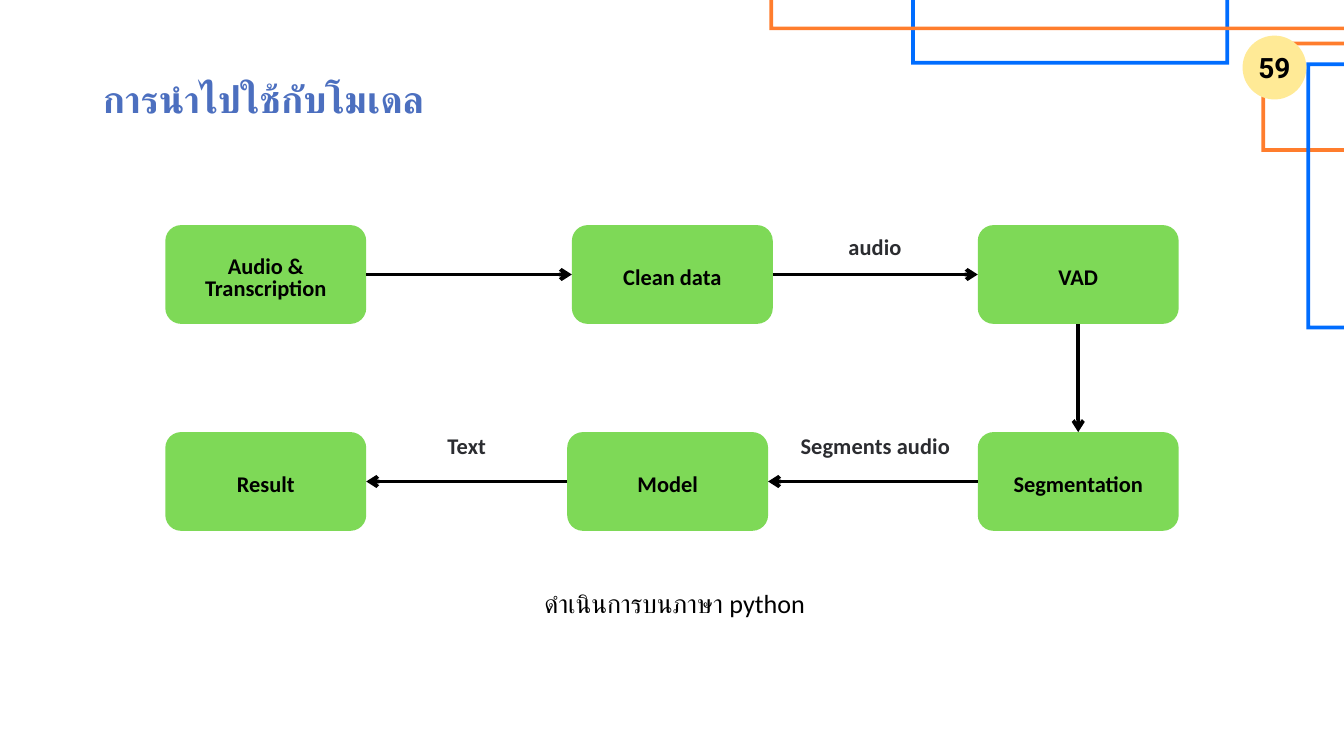
import pptx
import pptx.dml.color
import pptx.enum.shapes
import pptx.enum.text
import pptx.oxml.ns
import pptx.util
from dataclasses import dataclass
from lxml import etree

Inches = pptx.util.Inches
Pt = pptx.util.Pt
Shape = pptx.enum.shapes.MSO_SHAPE
Anchor = pptx.enum.text.MSO_ANCHOR
qn = pptx.oxml.ns.qn

BLUE, ORANGE = "006DFF", "FF7D2D"
GREEN, YELLOW = "7ED957", "FFEA96"
BLACK, GREY, TITLE = "000000", "2B2C30", "4C6FBF"
BOX_W, BOX_H = 2.99, 1.47
ROW_1, ROW_2 = 3.35, 6.43
TOP, LEFT, BOTTOM, RIGHT = range(4)  # connection sites of a box


@dataclass
class Style:
    size: float
    lead: float
    color: str = BLACK
    bold: bool = True
    font: str = "Calibri"
    track: float = 0


@dataclass
class Frame:
    x: float
    y: float
    w: float
    h: float
    color: str


@dataclass
class Step:
    x: float
    y: float
    text: str


@dataclass
class Arrow:
    start: str
    out: int
    end: str
    into: int


@dataclass
class Label:
    x: float
    y: float
    w: float
    h: float
    text: str
    style: Style


HEAD = Style(40, 52, TITLE, track=0.2)
STEP = Style(24, 24.5)
FLOW = Style(24, 31.2, GREY, track=0.1)
NOTE = Style(28, 39.2, bold=False)
PAGE = Style(30, 42, font="Roboto")

FRAMES = [
    Frame(13.56, -0.38, 4.73, 1.34, BLUE),
    Frame(11.45, -0.37, 8.73, 0.82, ORANGE),
    Frame(18.77, 0.62, 1.58, 1.64, ORANGE),
    Frame(19.44, 0.93, 0.91, 3.97, BLUE),
]
STEPS = [
    Step(2.46, ROW_1, "Audio &\nTranscription"),
    Step(8.51, ROW_1, "Clean data"),
    Step(14.55, ROW_1, "VAD"),
    Step(14.55, ROW_2, "Segmentation"),
    Step(8.44, ROW_2, "Model"),
    Step(2.46, ROW_2, "Result"),
]
ARROWS = [
    Arrow("Audio &\nTranscription", RIGHT, "Clean data", LEFT),
    Arrow("Clean data", RIGHT, "VAD", LEFT),
    Arrow("VAD", BOTTOM, "Segmentation", TOP),
    Arrow("Segmentation", LEFT, "Model", RIGHT),
    Arrow("Model", LEFT, "Result", RIGHT),
]
LABELS = [
    Label(12.36, 3.43, 1.32, 0.42, "audio", FLOW),
    Label(11.62, 6.4, 2.81, 0.42, "Segments audio", FLOW),
    Label(5.54, 6.4, 2.81, 0.42, "Text", FLOW),
    Label(2.54, 8.67, 15, 0.54, "ดำเนินการบนภาษา python", NOTE),
]


def rgb(code: str) -> pptx.dml.color.RGBColor:
    return pptx.dml.color.RGBColor.from_string(code)


def write(shape, text: str, style: Style, anchor=Anchor.TOP,
          pad: tuple = (0, 0, 0, 0)) -> None:
    """Fill a shape with centred text; pad is left, top, right, bottom."""
    frame = shape.text_frame
    frame.word_wrap = True
    frame.auto_size = pptx.enum.text.MSO_AUTO_SIZE.NONE
    frame.vertical_anchor = anchor
    frame.margin_left, frame.margin_top, frame.margin_right, frame.margin_bottom = (
        Inches(side) for side in pad)
    for i, line in enumerate(text.split("\n")):
        para = frame.add_paragraph() if i else frame.paragraphs[0]
        para.alignment = pptx.enum.text.PP_ALIGN.CENTER
        para.line_spacing = Pt(style.lead)
        para.space_before = Pt(0)
        run = para.add_run()
        run.text = line
        run.font.name = style.font
        run.font.size = Pt(style.size)
        run.font.bold = style.bold
        run.font.color.rgb = rgb(style.color)
        if style.track:
            run._r.get_or_add_rPr().set("spc", str(round(style.track * 100)))


def block(slide, kind, x: float, y: float, w: float, h: float, color: str):
    shape = slide.shapes.add_shape(kind, Inches(x), Inches(y), Inches(w), Inches(h))
    shape.shadow.inherit = False
    shape.fill.solid()
    shape.fill.fore_color.rgb = rgb(color)
    shape.line.fill.background()
    return shape


def draw_frame(slide, item: Frame) -> None:
    shape = block(slide, Shape.FRAME, item.x, item.y, item.w, item.h, item.color)
    shape.adjustments[0] = 0.055 / min(item.w, item.h)


def draw_step(slide, item: Step):
    shape = block(slide, Shape.ROUNDED_RECTANGLE, item.x, item.y, BOX_W, BOX_H, GREEN)
    shape.adjustments[0] = 0.16
    write(shape, item.text, STEP, Anchor.MIDDLE, (0.06, 0.18, 0.06, 0.06))
    return shape


def draw_arrow(slide, item: Arrow, boxes: dict) -> None:
    line = slide.shapes.add_connector(
        pptx.enum.shapes.MSO_CONNECTOR.STRAIGHT, 0, 0, 0, 0)
    line.begin_connect(boxes[item.start], item.out)
    line.end_connect(boxes[item.end], item.into)
    line.line.width = Pt(4)
    line.line.color.rgb = rgb(BLACK)
    etree.SubElement(line.line._get_or_add_ln(), qn("a:tailEnd"), type="arrow")
    etree.SubElement(line._element.spPr, qn("a:effectLst"))


def draw_label(slide, item: Label) -> None:
    box = slide.shapes.add_textbox(
        Inches(item.x), Inches(item.y), Inches(item.w), Inches(item.h))
    write(box, item.text, item.style)


def main() -> None:
    deck = pptx.Presentation()
    deck.slide_width, deck.slide_height = Inches(20), Inches(11.25)
    slide = deck.slides.add_slide(deck.slide_layouts[5])

    # Corner frames
    for item in FRAMES:
        draw_frame(slide, item)

    # Title
    title = slide.shapes.title
    title.left, title.top = Inches(1.12), Inches(1.08)
    title.width, title.height = Inches(5.6), Inches(0.7)
    write(title, "การนำไปใช้กับโมเดล", HEAD)

    # Flow chart
    boxes = {item.text: draw_step(slide, item) for item in STEPS}
    for item in ARROWS:
        draw_arrow(slide, item, boxes)
    for item in LABELS:
        draw_label(slide, item)

    # Page number
    badge = block(slide, Shape.OVAL, 18.49, 0.53, 0.95, 0.95, YELLOW)
    write(badge, "59", PAGE, Anchor.MIDDLE, (0, 0, 0, 0.09))

    deck.save("out.pptx")


if __name__ == "__main__":
    main()
